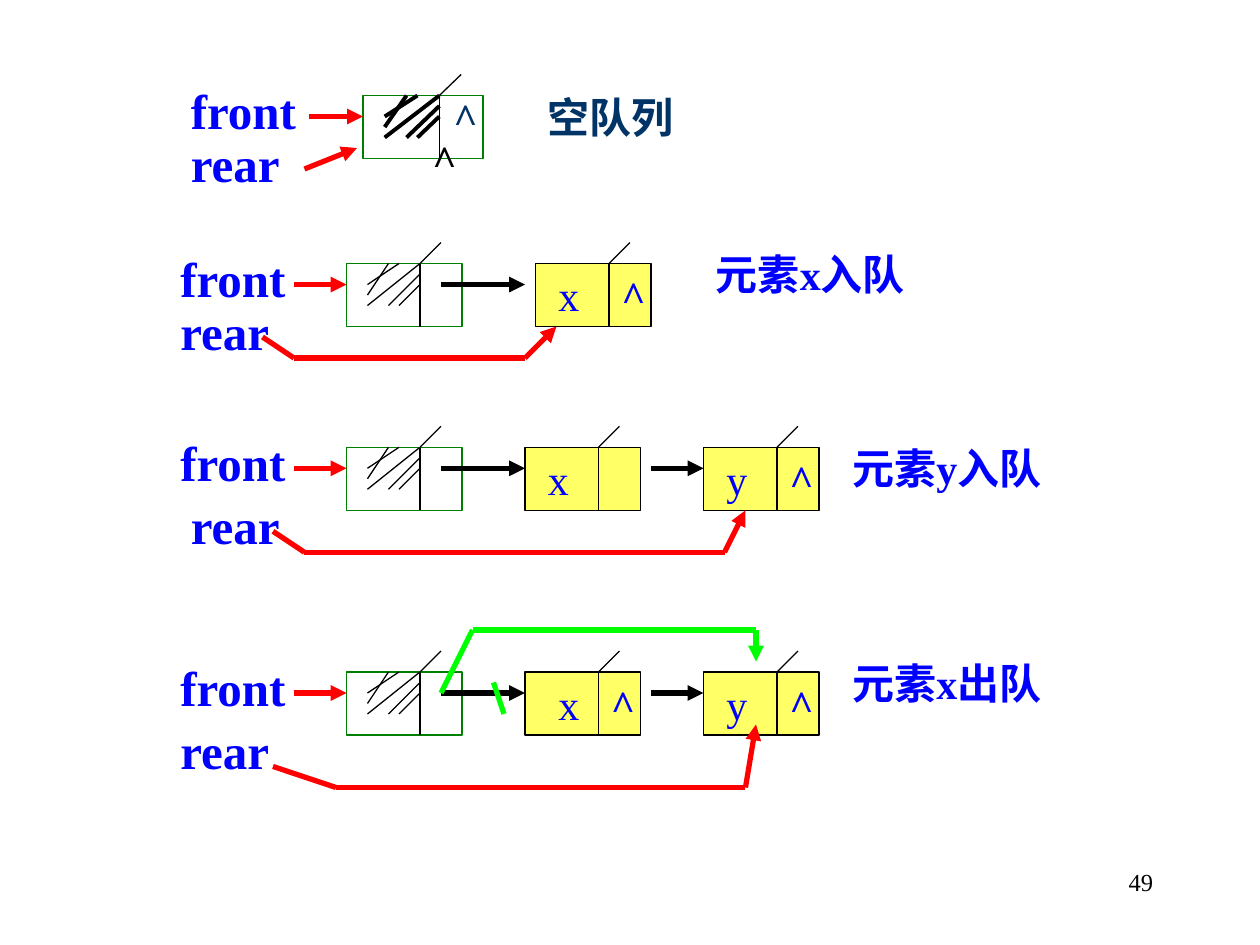
from dataclasses import dataclass
from itertools import pairwise

from lxml import etree
from pptx import Presentation
from pptx import util as u
from pptx.dml.color import RGBColor
from pptx.enum import shapes, text
from pptx.oxml import ns


@dataclass(frozen=True)
class Theme:
    font: str = "Times New Roman"
    blue: str = "0000FF"
    navy: str = "003366"
    black: str = "000000"
    red: str = "FF0000"
    green: str = "008000"
    bright: str = "00FF00"
    yellow: str = "FFFF66"
    pointer_size: int = 28
    body_size: int = 24
    number_size: int = 14
    thin: float = 0.75
    medium: float = 2.25
    thick: float = 3


theme = Theme()
STEP = 2.54 / 12  # grid step in cm; all positions below count grid steps


def add_path(group, points, color, width, arrow=False):
    """Draw straight lines through the points, with an optional final arrowhead."""
    for start, end in pairwise(points):
        ends = [u.Cm(value * STEP) for value in (*start, *end)]
        line = group.shapes.add_connector(shapes.MSO_CONNECTOR.STRAIGHT, *ends)
        line.line.color.rgb = RGBColor.from_string(color)
        line.line.width = u.Pt(width)
        if arrow and end == points[-1]:
            tail = etree.SubElement(line.line._get_or_add_ln(), ns.qn("a:tailEnd"))
            tail.set("type", "triangle")
        etree.SubElement(line._element.spPr, ns.qn("a:effectLst"))


def add_label(parent, words, left, top, width, height=6, size=theme.body_size,
              color=theme.blue, bold=True, wrap=True, align=text.PP_ALIGN.LEFT):
    box = parent.shapes.add_textbox(
        *[u.Cm(value * STEP) for value in (left, top, width, height)])
    box.text_frame.word_wrap = wrap
    box.text_frame.auto_size = text.MSO_AUTO_SIZE.SHAPE_TO_FIT_TEXT
    para = box.text_frame.paragraphs[0]
    para.alignment = align
    span = para.add_run()
    span.text = words
    span.font.name = theme.font
    span.font.size = u.Pt(size)
    span.font.bold = bold
    span.font.color.rgb = RGBColor.from_string(color)


deck = Presentation()
deck.slide_width, deck.slide_height = u.Cm(25.4), u.Cm(19.05)
page = deck.slides.add_slide(deck.slide_layouts[6])

# Vertical places within a row count from the top of its cells.
# A node is: left, letter, letter offset, whether it ends the list.
rows = [
    dict(top=9.1, head=34.56, scale=1.04, hatch=theme.medium, front=17,
         rear=(17, 3), arrow_start=29.4, nodes=[],
         rear_path=[(29, 7), (34, 5)],
         caption=("空队列", 51, -1, 15, 6, theme.navy)),
    dict(top=25.1, head=33, scale=1, hatch=theme.thin, front=16,
         rear=(16, 3), arrow_start=28, nodes=[(51, "x", 1, True)],
         rear_path=[(25, 7), (28, 9), (50, 9), (53, 6)],
         caption=("元素x入队", 67, -2, 21, 10.8, theme.blue)),
    dict(top=42.6, head=33, scale=1, hatch=theme.thin, front=16,
         rear=(17, 4), arrow_start=28,
         nodes=[(50, "x", 1, False), (67, "y", 1, True)],
         rear_path=[(26, 8), (29, 10), (69, 10), (71, 6)],
         caption=("元素y入队", 80, -1, 21, 10.8, theme.blue)),
    dict(top=64, head=33, scale=1, hatch=theme.thin, front=16,
         rear=(16, 4), arrow_start=28,
         nodes=[(50, "x", 2, True), (67, "y", 1, True)],
         rear_path=[(26, 9), (32, 11), (71, 11), (72, 5)],
         caption=("元素x出队", 80, -2, 21, 10.8, theme.blue)),
]
hatching = [((4, 0), (2, 3)), ((7, 1), (4, 4)), ((7, 0), (2, 4)),
            ((7, 2), (5, 4)), ((5, 0), (2, 2))]
link_places = [(42, 50), (62, 67)]

for row in rows:
    group = page.shapes.add_group_shape()
    top, head, scale = row["top"], row["head"], row["scale"]

    # Cells: the head node, then the queue elements
    cells = [(head, scale, theme.green, None)]
    cells += [(node[0], 1, theme.black, theme.yellow) for node in row["nodes"]]
    for left, stretch, outline, fill in cells:
        cell = group.shapes.add_shape(
            shapes.MSO_SHAPE.RECTANGLE,
            *[u.Cm(value * STEP) for value in (left, top, 11 * stretch, 6)])
        cell.shadow.inherit = False
        cell.line.color.rgb = RGBColor.from_string(outline)
        cell.line.width = u.Pt(theme.thin)
        if fill:
            cell.fill.solid()
            cell.fill.fore_color.rgb = RGBColor.from_string(fill)
        else:
            cell.fill.background()
        divider = left + 7 * stretch
        add_path(group, [(left + 9 * stretch, top - 2), (divider, top),
                         (divider, top + 6)], theme.black, theme.thin)

    # Hatching of the head node
    for stroke in hatching:
        add_path(group, [(head + x * scale, top + y) for x, y in stroke],
                 theme.black, row["hatch"])

    # Links and contents of the elements
    for (start, end), node in zip(link_places, row["nodes"]):
        left, letter, offset, is_last = node
        add_path(group, [(start, top + 2), (end, top + 2)],
                 theme.black, theme.thick, arrow=True)
        add_label(group, letter, left + offset, top, 5, bold=False)
        if is_last:
            add_label(group, "^", left + 7, top, 5)

    # Front and rear pointers
    add_label(group, "front", row["front"], top - 2, 12.5, 6.8,
              theme.pointer_size, wrap=False)
    rear_left, rear_top = row["rear"]
    add_label(group, "rear", rear_left, top + rear_top, 11.5, 6.8,
              theme.pointer_size)
    add_path(group, [(row["arrow_start"], top + 2), (head, top + 2)],
             theme.red, theme.thick, arrow=True)
    add_path(group, [(x, top + y) for x, y in row["rear_path"]],
             theme.red, theme.thick, arrow=True)

    # Caption
    words, left, offset, width, height, color = row["caption"]
    add_label(group, words, left, top + offset, width, height, color=color)

    # Null marks of the empty queue
    if not row["nodes"]:
        add_label(group, "^", 40, top + 3, 3, color=theme.black)
        add_label(group, "^", 42, top - 1, 4.7, color=theme.navy, wrap=False)

# Removal of x: the head link bypasses it and the old link is struck out
add_path(group, [(42, 66), (45, 60), (72, 60), (72, 63)],
         theme.bright, theme.thick, arrow=True)
add_path(group, [(47, 65), (48, 68)], theme.bright, theme.thick)

# Page number
add_label(page, "49", 86, 82, 25, size=theme.number_size, color=theme.black,
          bold=False, align=text.PP_ALIGN.RIGHT)

deck.save("out.pptx")
